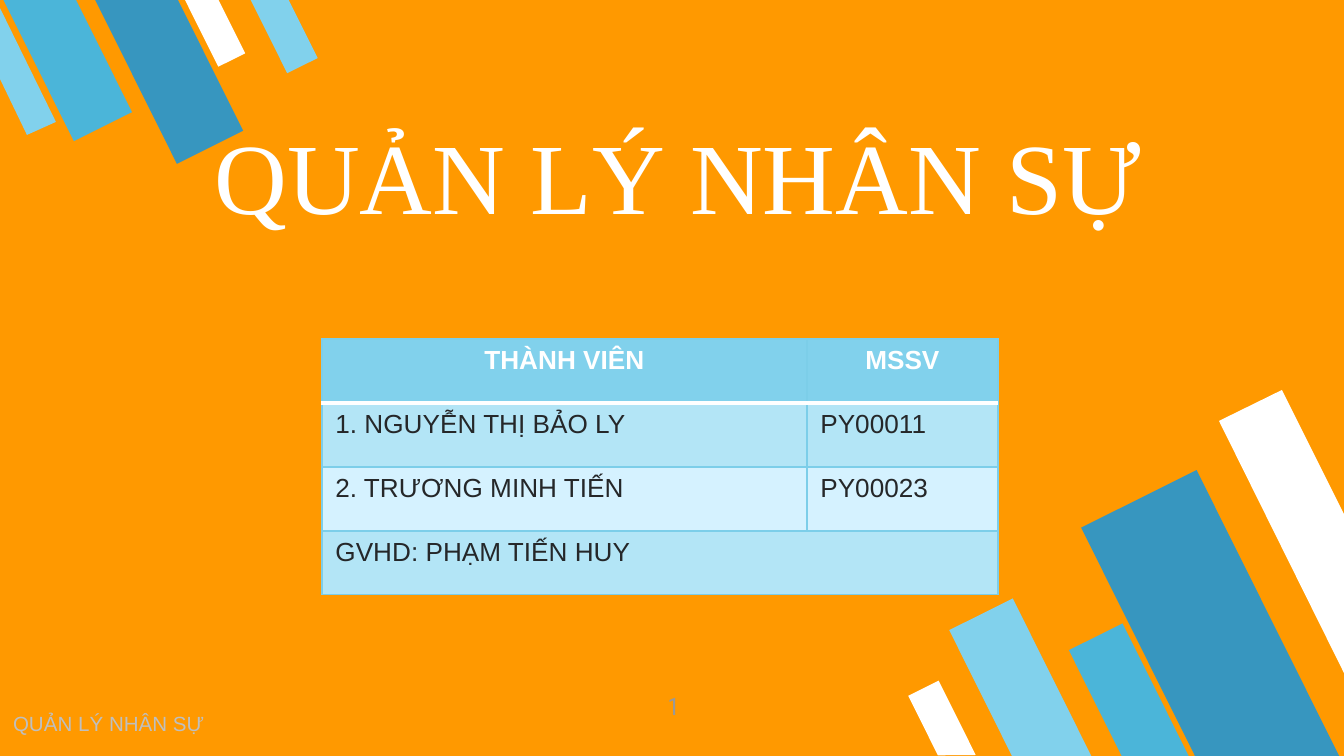
from pptx import Presentation
from pptx.dml.color import RGBColor
from pptx.enum.shapes import MSO_SHAPE as Shape
from pptx.enum.text import MSO_ANCHOR as Anchor, PP_ALIGN as Align
from pptx.oxml import parse_xml
from pptx.oxml.ns import nsdecls
from pptx.util import Pt

EMU_PER_PX = 914400 / 134.4
ORANGE, WHITE, INK = "FF9900", "FFFFFF", "252729"
SKY, AQUA, BLUE = "81D1EC", "4BB5D9", "3796BF"
BAND, PALE, BORDER = "B3E5F6", "D5F2FF", "7CCEE9"


def px(length):
    """Turn pixels into EMU."""
    return round(length * EMU_PER_PX)


def paint(target, color):
    """Give a fill one solid colour."""
    target.solid()
    target.fore_color.rgb = RGBColor.from_string(color)


def write(frame, text, size, color, font="Arial", bold=False, align=Align.LEFT):
    """Write one formatted paragraph into a text frame."""
    paragraph = frame.paragraphs[0]
    paragraph.alignment = align
    run = paragraph.add_run()
    run.text = text
    run.font.size, run.font.name, run.font.bold = Pt(size), font, bold
    run.font.color.rgb = RGBColor.from_string(color)


def add_text(slide, box, text, inset=(13, 13), anchor=Anchor.TOP, **style):
    """Place a wrapped text box."""
    frame = slide.shapes.add_textbox(*map(px, box)).text_frame
    frame.word_wrap = True
    frame.vertical_anchor = anchor
    frame.margin_left = frame.margin_right = px(inset[0])
    frame.margin_top = frame.margin_bottom = px(inset[1])
    write(frame, text, **style)


def finish(shape, color):
    """Fill a shape and remove its line and shadow."""
    shape.shadow.inherit = False
    paint(shape.fill, color)
    shape.line.fill.background()


def add_corner(slide, origin, rotation, bars, cut_bar, cut_color):
    """Draw a corner's slanted bars and the one bar cut by the slide edge."""
    left, top = origin
    for x, y, width, height, color in bars:
        bar = slide.shapes.add_shape(
            Shape.FLOWCHART_MANUAL_INPUT, px(left + x), px(top + y), px(width), px(height))
        bar.rotation = rotation
        bar._element.spPr.xfrm.set("flipH", "1")
        finish(bar, color)
    points = [(px(left + x), px(top + y)) for x, y in cut_bar]
    builder = slide.shapes.build_freeform(*points[0], scale=1.0)
    builder.add_line_segments(points[1:], close=True)
    finish(builder.convert_to_shape(), cut_color)


def set_borders(cell, **borders):
    """Draw the cell borders L, R, T and B, each given as colour and points."""
    properties = cell._tc.get_or_add_tcPr()
    for index, side in enumerate("LRTB"):
        color, width = borders.get(side, (BORDER, 0.75))
        properties.insert(index, parse_xml(
            f'<a:ln{side} {nsdecls("a")} w="{Pt(width)}"><a:solidFill>'
            f'<a:srgbClr val="{color}"/></a:solidFill></a:ln{side}>'))


def add_members(slide, box, columns, rows):
    """Place the member table, its last row merged across."""
    frame = slide.shapes.add_table(len(rows), len(columns), *map(px, box))
    table = frame.table
    for column, width in zip(table.columns, columns):
        column.width = px(width)
    rule = (WHITE, 2)
    for r, (fill, *texts) in enumerate(rows):
        table.rows[r].height = px(box[3] / len(rows))
        header = r == 0
        borders = {"B": rule} if header else {"T": rule} if r == 1 else {}
        for c in range(len(columns)):
            cell = table.cell(r, c)
            paint(cell.fill, fill)
            set_borders(cell, **borders)
            if c < len(texts):
                write(cell.text_frame, texts[c], size=14, bold=header,
                      color=WHITE if header else INK,
                      align=Align.CENTER if header else Align.LEFT)
    last = len(rows) - 1
    table.cell(last, 0).merge(table.cell(last, len(columns) - 1))


def build_title_slide(slide):
    """Compose the title slide."""
    paint(slide.background.fill, ORANGE)
    add_text(slide, (0, 704, 564, 39), "QUẢN LÝ NHÂN SỰ", inset=(13, 7),
             size=11, color="BFBFBF")
    add_corner(slide, (907, 390), 153.5, [
        (78, 215, 71, 177, SKY),
        (239, 92, 129, 321, BLUE),
        (192, 239, 60, 149, AQUA),
        (18, 294, 34, 83, WHITE),
    ], [(375, 0), (312, 31), (437, 283), (437, 124)], WHITE)
    add_corner(slide, (0, 0), 333.5, [
        (200, -11, 30, 75, WHITE),
        (35, -24, 65, 159, AQUA),
        (132, -27, 74, 184, BLUE),
        (267, -13, 34, 83, SKY),
    ], [(27, 135), (56, 122), (0, 8), (0, 79)], SKY)
    add_text(slide, (633, 677, 81, 58), "1", anchor=Anchor.MIDDLE, size=13,
             color="999999", font="Roboto Condensed", align=Align.CENTER)
    add_text(slide, (188, 77, 966, 171), "QUẢN LÝ NHÂN SỰ", anchor=Anchor.BOTTOM,
             size=54, color=WHITE, font="Times New Roman", align=Align.RIGHT)
    add_members(slide, (322, 339, 676, 256), (485, 191), [
        (SKY, "THÀNH VIÊN", "MSSV"),
        (BAND, "1. NGUYỄN THỊ BẢO LY", "PY00011"),
        (PALE, "2. TRƯƠNG MINH TIẾN", "PY00023"),
        (BAND, "GVHD: PHẠM TIẾN HUY"),
    ])


def main():
    """Build and save the presentation."""
    presentation = Presentation()
    presentation.slide_width, presentation.slide_height = px(1344), px(756)
    build_title_slide(presentation.slides.add_slide(presentation.slide_layouts[6]))
    presentation.save("out.pptx")


if __name__ == "__main__":
    main()
